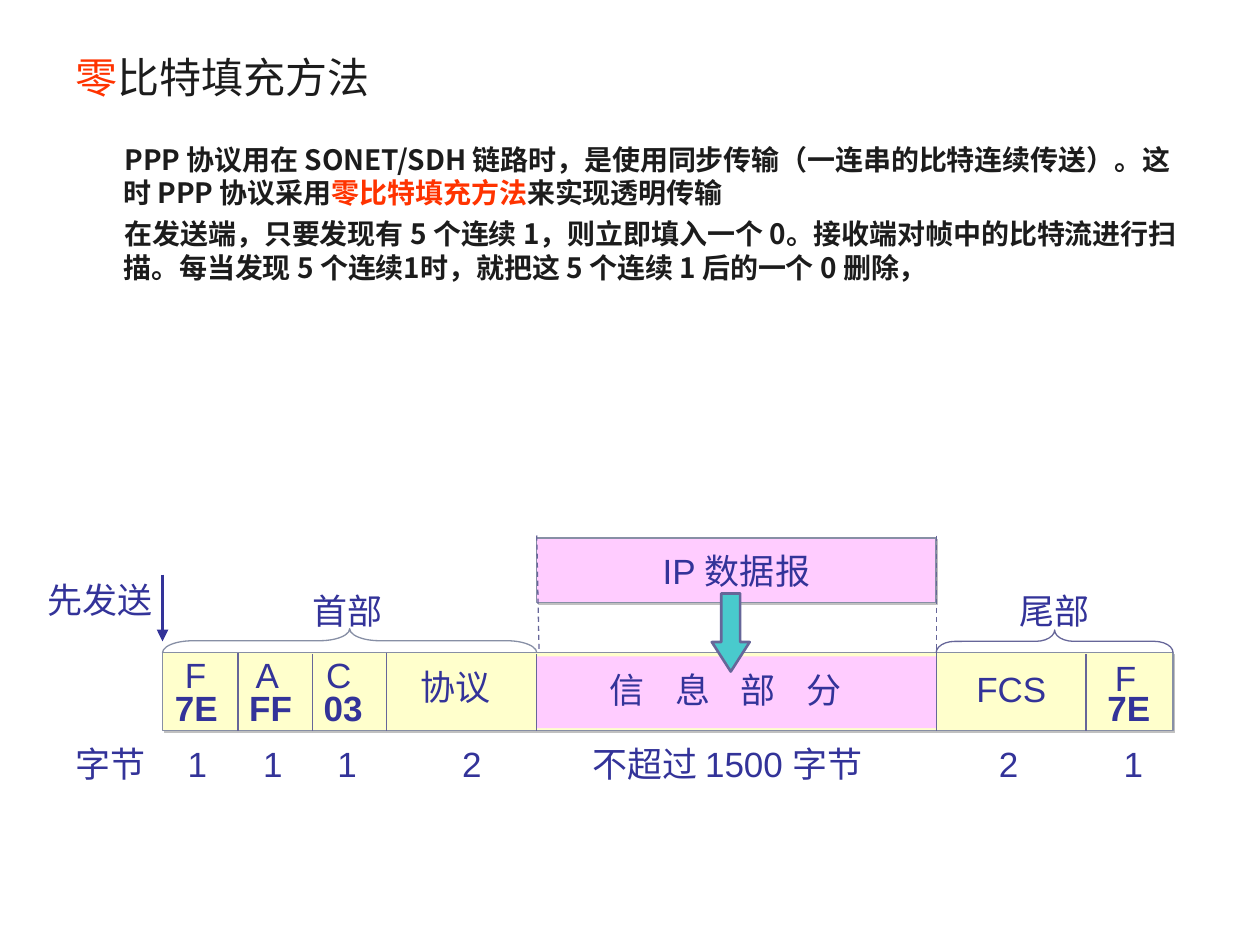
from lxml import etree
from pptx import Presentation
from pptx import util as u
from pptx.dml import color
from pptx.enum import dml, shapes, text
from pptx.oxml import ns

SCALE = 9144
CJK = "Noto Sans CJK SC"
INK, BLUE, RED = "1C1C1C", "333399", "FF3300"
EDGE, RULE, PINK = "878FA5", "666699", "FFCCFF"


def px(n):
    return u.Emu(round(n * SCALE))


def rgb(code):
    return color.RGBColor.from_string(code)


def put(item, vals):
    for key, val in vals.items():
        setattr(item, key, val)


def node(parent, tag, **vals):
    return etree.SubElement(parent, ns.qn(tag), vals)


def place(shape, box):
    put(shape, dict(zip(("left", "top", "width", "height"), map(px, box))))


def write(para, words, hue, size, face="Arial", bold=False):
    run = para.add_run()
    run.text = words
    put(run.font, {"size": u.Pt(size), "name": face, "bold": bold})
    run.font.color.rgb = rgb(hue)
    node(run._r.get_or_add_rPr(), "a:ea", typeface=CJK)
    return run


def label(slide, x, y, wide, words, bold=False):
    frame = slide.shapes.add_textbox(*map(px, (x, y, wide, 44))).text_frame
    put(frame, {"word_wrap": True, "auto_size": text.MSO_AUTO_SIZE.NONE,
                "margin_right": 0})
    return write(frame.paragraphs[0], words, BLUE, 20, bold=bold)


def form(slide, kind, box, fill=None, edge=None, wide=0.75, shade=False):
    shape = slide.shapes.add_shape(kind, *map(px, box))
    shape.shadow.inherit = False
    if shade:
        glow = node(shape._element.spPr.find(ns.qn("a:effectLst")), "a:outerShdw",
                    dist="17780", dir="2700000", algn="ctr", rotWithShape="0")
        node(glow, "a:srgbClr", val="C0C0C0")
    if fill:
        shape.fill.solid()
        shape.fill.fore_color.rgb = rgb(fill)
    else:
        shape.fill.background()
    if edge:
        shape.line.color.rgb = rgb(edge)
        shape.line.width = u.Pt(wide)
    else:
        shape.line.fill.background()
    return shape


def rule(slide, ends, hue=RULE, wide=0.75, dash=None, tip=False):
    line = slide.shapes.add_connector(shapes.MSO_CONNECTOR.STRAIGHT, *map(px, ends))
    line.line.color.rgb = rgb(hue)
    put(line.line, {"width": u.Pt(wide), "dash_style": dash})
    if tip:
        node(line.line._get_or_add_ln(), "a:tailEnd", type="triangle")
    node(line._element.spPr, "a:effectLst")


def brace(slide, box, edge, curve):
    x, y, wide, high = box
    turned = (x + (wide - high) / 2, y + (high - wide) / 2, high, wide)
    shape = form(slide, shapes.MSO_SHAPE.LEFT_BRACE, turned, edge=edge)
    shape.rotation = 90
    shape.adjustments[0] = curve


def head(slide, box):
    title = slide.shapes.title
    place(title, box)
    frame = title.text_frame
    put(frame, {"vertical_anchor": text.MSO_ANCHOR.MIDDLE,
                "auto_size": text.MSO_AUTO_SIZE.NONE})
    para = frame.paragraphs[0]
    para.alignment = text.PP_ALIGN.LEFT
    write(para, "零", RED, 24, CJK)
    write(para, "比特填充方法", INK, 24, CJK)


def body(slide, box):
    holder = slide.placeholders[1]
    place(holder, box)
    frame = holder.text_frame
    frame.auto_size = text.MSO_AUTO_SIZE.NONE
    paras = (
        (("PPP 协议用在 SONET/SDH 链路时，是使用同步传输（一连串的比特连续传送）。"
          "这时 PPP 协议采用", INK),
         ("零比特填充方法", RED), ("来实现透明传输", INK)),
        (("在发送端，只要发现有 5 个连续 1，则立即填入一个 0。接收端对帧中的比特流进行扫描。"
          "每当发现 5 个连续1时，就把这 5 个连续 1 后的一个 0 删除，", INK),),
    )
    for i, runs in enumerate(paras):
        para = frame.add_paragraph() if i else frame.paragraphs[0]
        props = para._p.get_or_add_pPr()
        props.set("marL", str(px(38)))
        props.set("indent", str(px(1)))
        node(props, "a:buNone")
        put(para, {"line_spacing": 1.0, "space_before": u.Pt(4 if i else 0)})
        for words, hue in runs:
            write(para, words, hue, 16, CJK, True)


def packet(slide, box):
    x, y, wide, high = box
    shape = form(slide, shapes.MSO_SHAPE.RECTANGLE, box, PINK, EDGE, shade=True)
    frame = shape.text_frame
    put(frame, {"word_wrap": False, "vertical_anchor": text.MSO_ANCHOR.MIDDLE})
    frame.paragraphs[0].alignment = text.PP_ALIGN.CENTER
    write(frame.paragraphs[0], "IP 数据报", BLUE, 20)
    for start, end, drop in ((0, 2, 99), (wide, wide, 95)):
        rule(slide, (x + start, y - 2, x + end, y + drop), dash=dml.MSO_LINE.DASH)


def cells(slide, box):
    x, y, wide, high = box
    rect = shapes.MSO_SHAPE.RECTANGLE
    form(slide, rect, box, "FFFFCC", EDGE, shade=True)
    form(slide, rect, (x + 297, y + 3, 317, high - 5), PINK)
    for step, lift in ((60, 0), (119, 1), (178, 0), (297, 1), (614, -3), (733, 1)):
        rule(slide, (x + step, y + lift, x + step, y + high))
    for step, drop, size, words in (
            (8, -4, 37, "F"), (64, -4, 38, "A"), (120, -4, 40, "C"), (746, -2, 37, "F"),
            (195, 5, 75, "协议"), (636, 7, 75, "FCS")):
        label(slide, x + step, y + drop, size, words)
    for step, size, words in ((0, 54, "7E"), (59, 54, "FF"), (118, 51, "03"), (740, 54, "7E")):
        label(slide, x + step, y + 22, size, words, True)
    info = label(slide, x + 345, y + 8, 206, "信 息 部 分")
    info._r.get_or_add_rPr().set("spc", "650")


def marks(slide, box):
    x, y, wide, high = box
    brace(slide, (x, y - 19, 297, 19), EDGE, 1.26)
    brace(slide, (x + 614, y - 18, 188, 18), RULE, 0.83)
    for step, words in ((109, "首部"), (670, "尾部")):
        label(slide, x + step, y - 55, 75, words)
    label(slide, x - 101, y - 64, 103, "先发送")
    rule(slide, (x, y - 62, x, y - 9), BLUE, 2.25, tip=True)
    arrow = form(slide, shapes.MSO_SHAPE.DOWN_ARROW, (x + 436, y - 47, 30, 62),
                 "49CACD", RULE, 1.5)
    arrow.adjustments[0], arrow.adjustments[1] = 0.5, 0.78


def sizes(slide, box):
    x, y, wide, high = box
    label(slide, x - 79, y, 75, "字节")
    for step, words in ((10, "1"), (70, "1"), (129, "1"), (228, "2"), (654, "2"), (753, "1")):
        label(slide, x + step, y, 35, words)
    label(slide, x + 331, y, 248, "不超过 1500 字节")


def main():
    deck = Presentation()
    put(deck, {"slide_width": px(1000), "slide_height": px(750)})
    slide = deck.slides.add_slide(deck.slide_layouts[1])
    bar = (129, 518, 802, 62)
    head(slide, (50, 30, 900, 61))
    body(slide, (50, 108, 900, 522))
    packet(slide, (426, 427, 317, 51))
    cells(slide, bar)
    marks(slide, bar)
    sizes(slide, (129, 584, 802, 44))
    deck.save("out.pptx")


if __name__ == "__main__":
    main()
